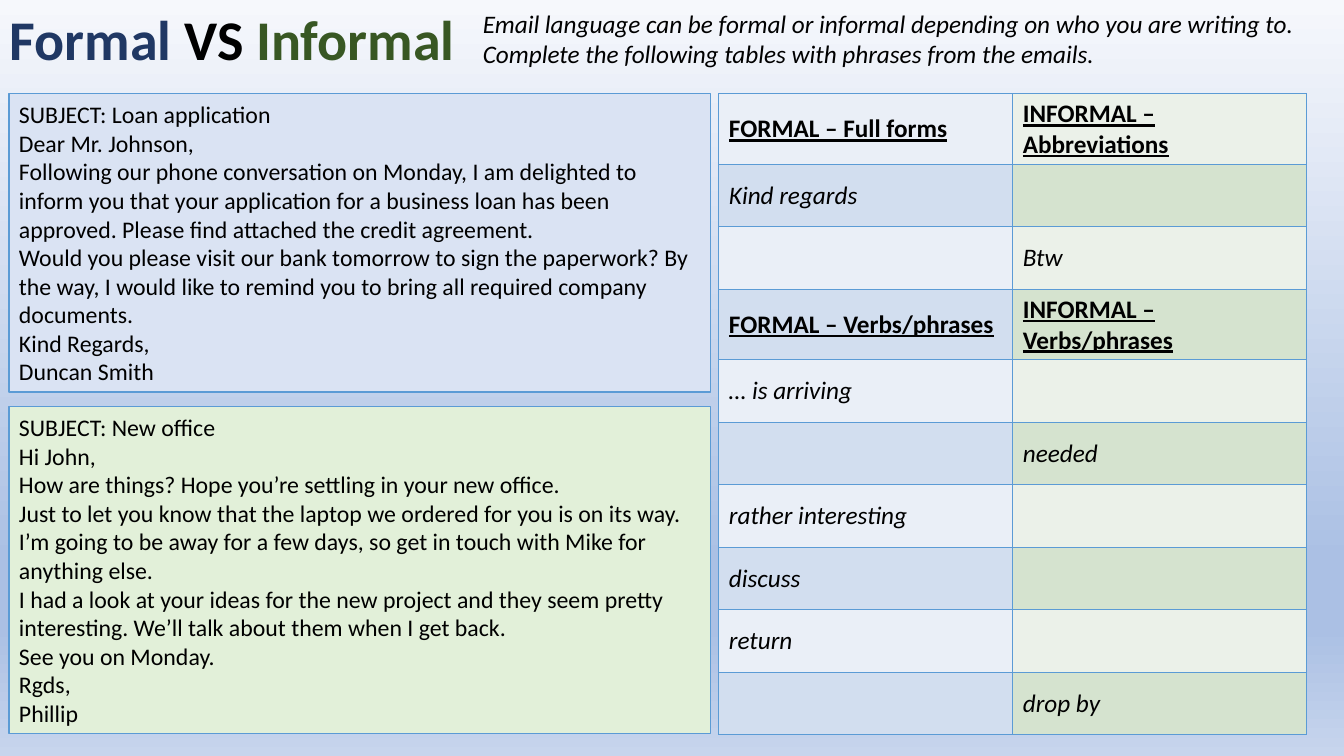
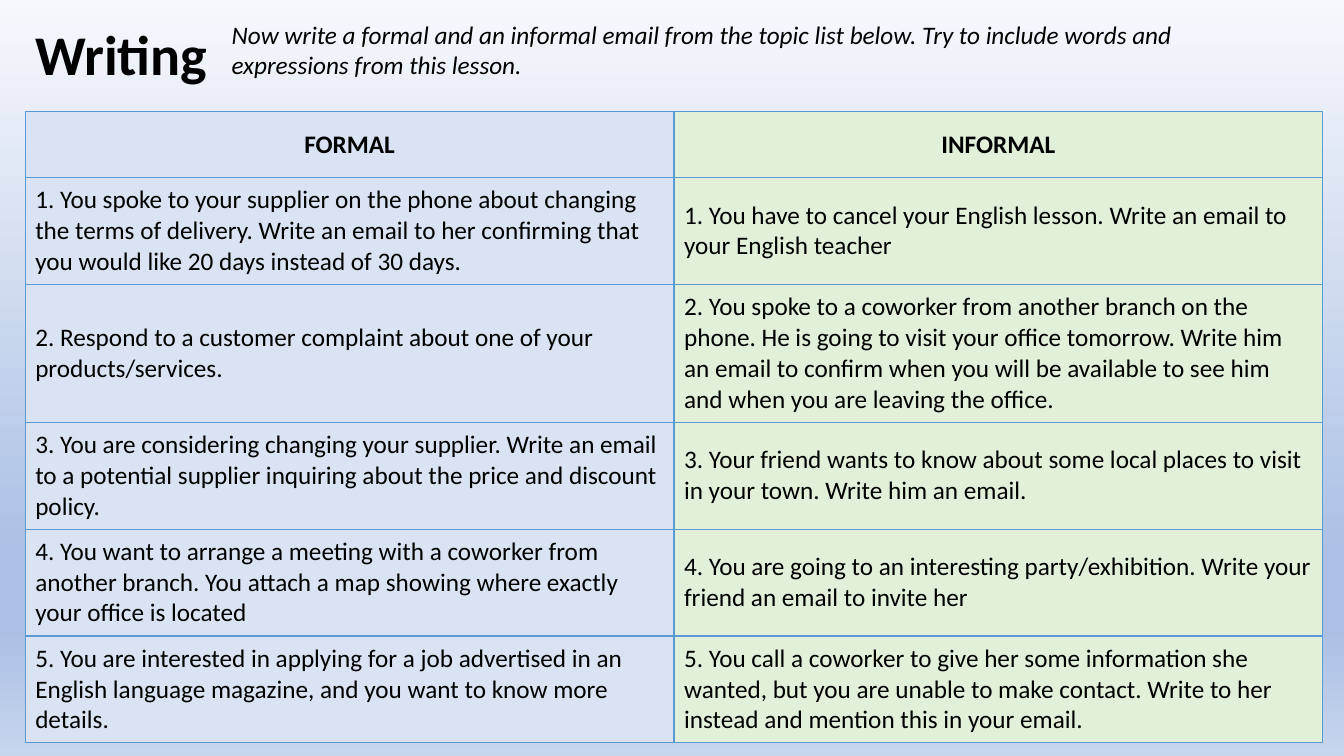
"""Builds two lesson slides on formal and informal emails."""
from dataclasses import dataclass

from pptx import Presentation
from pptx import util as u
from pptx.dml.color import RGBColor
from pptx.enum import shapes, text
from pptx.oxml import parse_xml
from pptx.oxml.ns import nsdecls, qn


@dataclass(frozen=True)
class Theme:
    font: str = "Calibri"
    title_size: int = 40
    body_size: int = 18
    email_size: int = 17
    ink: str = "000000"
    formal_title: str = "203864"
    informal_title: str = "385723"
    formal: str = "DAE3F3"
    informal: str = "E2F0D9"
    bands: tuple = (("EAEFF7", "EBF1E9"), ("D2DEEF", "D5E3CF"))
    line: str = "5B9BD5"
    line_width: int = 1
    backdrop: tuple = ((0, "F6F8FC"), (74, "ABC0E4"), (83, "ABC0E4"), (100, "C7D5ED"))


THEME = Theme()

FORMAL_EMAIL = [
    "SUBJECT: Loan application",
    "Dear Mr. Johnson,",
    "Following our phone conversation on Monday, I am delighted to inform you that your "
    "application for a business loan has been approved. Please find attached the credit agreement.",
    "Would you please visit our bank tomorrow to sign the paperwork? By the way, I would like "
    "to remind you to bring all required company documents.",
    "Kind Regards,",
    "Duncan Smith",
]
INFORMAL_EMAIL = [
    "SUBJECT: New office",
    "Hi John,",
    "How are things? Hope you’re settling in your new office.",
    "Just to let you know that the laptop we ordered for you is on its way. I’m going to be "
    "away for a few days, so get in touch with Mike for anything else.",
    "I had a look at your ideas for the new project and they seem pretty interesting. "
    "We’ll talk about them when I get back.",
    "See you on Monday.",
    "Rgds,",
    "Phillip",
]
PHRASES = [
    ("FORMAL – Full forms", "INFORMAL – Abbreviations"),
    ("Kind regards", ""),
    ("", "Btw"),
    ("FORMAL – Verbs/phrases", "INFORMAL – Verbs/phrases"),
    ("… is arriving", ""),
    ("", "needed"),
    ("rather interesting", ""),
    ("discuss", ""),
    ("return", ""),
    ("", "drop by"),
]
PHRASE_HEADINGS = (0, 3)
TOPICS = [
    ("FORMAL", "INFORMAL"),
    ("1. You spoke to your supplier on the phone about changing the terms of delivery. Write an "
     "email to her confirming that you would like 20 days instead of 30 days.",
     "1. You have to cancel your English lesson. Write an email to your English teacher"),
    ("2. Respond to a customer complaint about one of your products/services.",
     "2. You spoke to a coworker from another branch on the phone. He is going to visit your "
     "office tomorrow. Write him an email to confirm when you will be available to see him and "
     "when you are leaving the office."),
    ("3. You are considering changing your supplier. Write an email to a potential supplier "
     "inquiring about the price and discount policy.",
     "3. Your friend wants to know about some local places to visit in your town. "
     "Write him an email."),
    ("4. You want to arrange a meeting with a coworker from another branch. You attach a map "
     "showing where exactly your office is located",
     "4. You are going to an interesting party/exhibition. Write your friend an email to "
     "invite her"),
    ("5. You are interested in applying for a job advertised in an English language magazine, "
     "and you want to know more details.",
     "5. You call a coworker to give her some information she wanted, but you are unable to "
     "make contact. Write to her instead and mention this in your email."),
]
TOPIC_HEIGHTS = [0.65, 1.06, 1.37, 1.06, 1.06, 1.06]


def color(value):
    return RGBColor.from_string(value)


def inches(*lengths):
    return [u.Inches(length) for length in lengths]


def paint_backdrop(master):
    master.background.fill.solid()
    holder = master.element.find(".//" + qn("p:bgPr"))
    stops = "".join(
        f'<a:gs pos="{percent * 1000}"><a:srgbClr val="{value}"/></a:gs>'
        for percent, value in THEME.backdrop
    )
    gradient = parse_xml(
        f'<a:gradFill {nsdecls("a")} rotWithShape="1"><a:gsLst>{stops}</a:gsLst>'
        '<a:lin ang="5400000" scaled="0"/></a:gradFill>'
    )
    holder.replace(holder.find(qn("a:solidFill")), gradient)


def style(para, size, bold=False, italic=False, underline=False):
    font = para.font
    font.name, font.size = THEME.font, u.Pt(size)
    font.bold, font.italic, font.underline = bold, italic, underline
    font.color.rgb = color(THEME.ink)


def write_lines(frame, lines, size, **emphasis):
    frame.word_wrap = True
    frame.text = "\n".join(lines)
    for para in frame.paragraphs:
        style(para, size, **emphasis)


def add_title(page, place, spans):
    frame = page.shapes.add_textbox(*inches(*place)).text_frame
    frame.word_wrap = True
    para = frame.paragraphs[0]
    style(para, THEME.title_size, bold=True)
    for words, value in spans:
        span = para.add_run()
        span.text = words
        span.font.color.rgb = color(value)


def add_intro(page, place, lines):
    box = page.shapes.add_textbox(*inches(*place))
    write_lines(box.text_frame, lines, THEME.body_size, italic=True)


def add_email(page, top, height, fill, lines):
    box = page.shapes.add_shape(
        shapes.MSO_SHAPE.RECTANGLE, *inches(0.09, top, 6.96, height))
    box.shadow.inherit = False
    box.fill.solid()
    box.fill.fore_color.rgb = color(fill)
    box.line.color.rgb = color(THEME.line)
    box.line.width = u.Pt(THEME.line_width)
    write_lines(box.text_frame, lines, THEME.email_size)
    for para in box.text_frame.paragraphs:
        para.alignment = text.PP_ALIGN.LEFT


def add_borders(cell):
    properties = cell._tc.get_or_add_tcPr()
    for side in ("lnL", "lnR", "lnT", "lnB"):
        properties.append(parse_xml(
            f'<a:{side} {nsdecls("a")} w="{u.Pt(THEME.line_width)}"><a:solidFill>'
            f'<a:srgbClr val="{THEME.line}"/></a:solidFill></a:{side}>'
        ))


def fill_cell(cell, words, fill, align, **emphasis):
    add_borders(cell)
    cell.fill.solid()
    cell.fill.fore_color.rgb = color(fill)
    cell.vertical_anchor = text.MSO_ANCHOR.MIDDLE
    para = cell.text_frame.paragraphs[0]
    para.text = words
    para.alignment = align
    style(para, THEME.body_size, **emphasis)


def add_grid(page, place, rows, heights):
    table = page.shapes.add_table(
        len(rows), len(rows[0]), *inches(*place, sum(heights))).table
    table.first_row = table.horz_banding = False
    for row, height in zip(table.rows, heights):
        row.height = u.Inches(height)
    return table


def add_phrase_table(page):
    table = add_grid(page, (7.13, 0.93, 5.83), PHRASES, [0.62] * len(PHRASES))
    for row, phrases in enumerate(PHRASES):
        heading = row in PHRASE_HEADINGS
        for column, words in enumerate(phrases):
            fill_cell(table.cell(row, column), words, THEME.bands[row % 2][column],
                      text.PP_ALIGN.LEFT, bold=heading, underline=heading, italic=not heading)


def add_topic_table(page):
    table = add_grid(page, (0.25, 1.11, 12.87), TOPICS, TOPIC_HEIGHTS)
    for row, topics in enumerate(TOPICS):
        heading = row == 0
        align = text.PP_ALIGN.CENTER if heading else text.PP_ALIGN.LEFT
        for column, words in enumerate(topics):
            fill_cell(table.cell(row, column), words, (THEME.formal, THEME.informal)[column],
                      align, bold=heading)


def build_comparison(page):
    add_title(page, (0, 0, 4.96, 0.77), [
        ("Formal", THEME.formal_title), (" VS ", THEME.ink), ("Informal", THEME.informal_title)])
    add_intro(page, (4.69, 0.03, 8.55, 0.71), [
        "Email language can be formal or informal depending on who you are writing to. "
        "Complete the following tables with phrases from the emails."])
    add_email(page, 0.93, 2.96, THEME.formal, FORMAL_EMAIL)
    add_email(page, 4.03, 3.25, THEME.informal, INFORMAL_EMAIL)
    add_phrase_table(page)


def build_writing(page):
    add_title(page, (0.25, 0.14, 7.72, 0.77), [("Writing", THEME.ink)])
    add_intro(page, (2.2, 0.14, 11.04, 0.71), [
        "Now write a formal and an informal email from the topic list below. "
        "Try to include words and",
        "expressions from this lesson."])
    add_topic_table(page)


def main():
    deck = Presentation()
    deck.slide_width, deck.slide_height = inches(13.33, 7.5)
    paint_backdrop(deck.slide_master)
    for build in (build_comparison, build_writing):
        build(deck.slides.add_slide(deck.slide_layouts[6]))
    deck.save("out.pptx")


if __name__ == "__main__":
    main()
